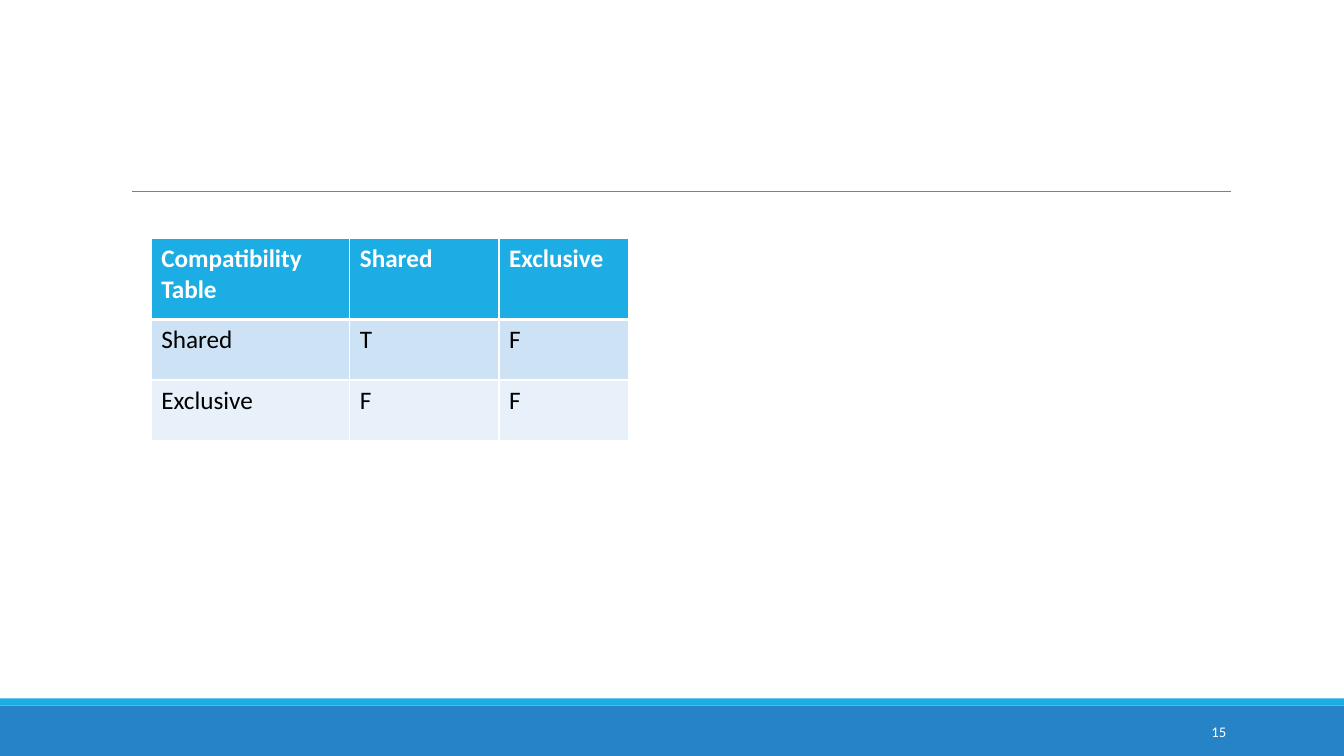
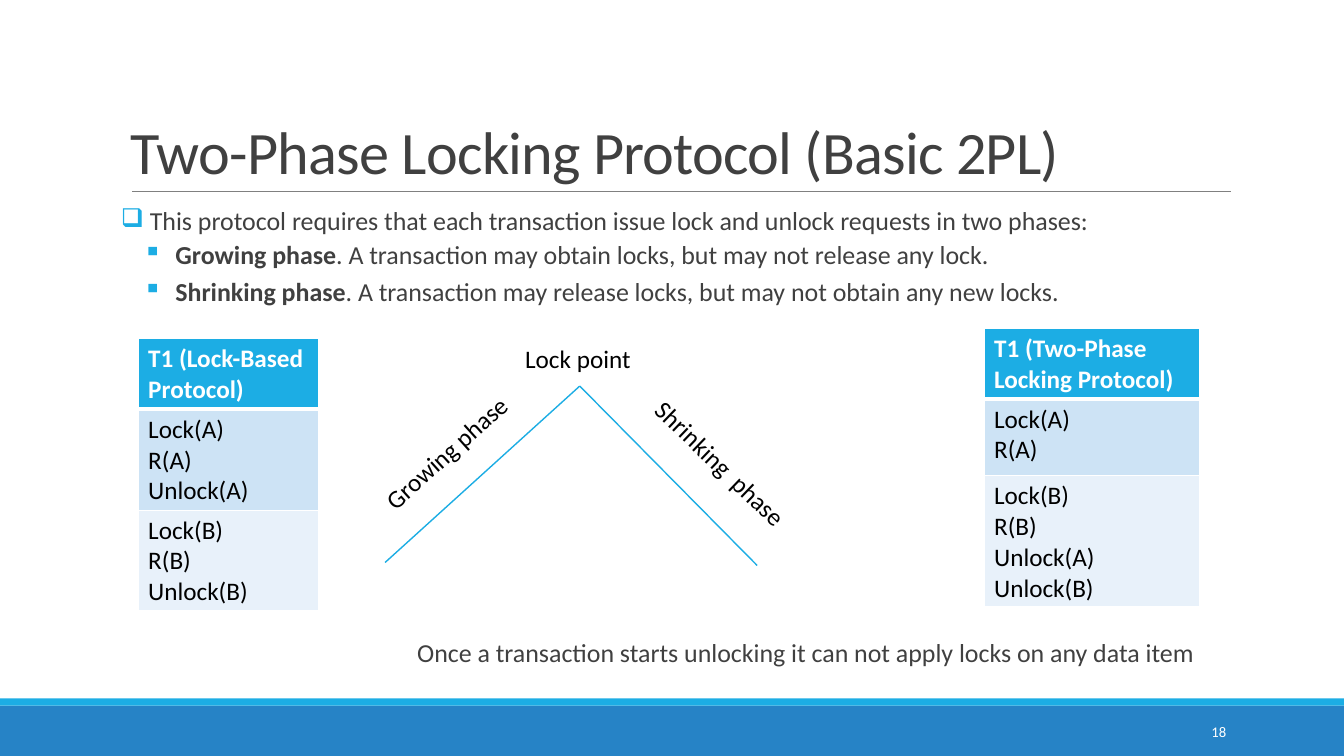
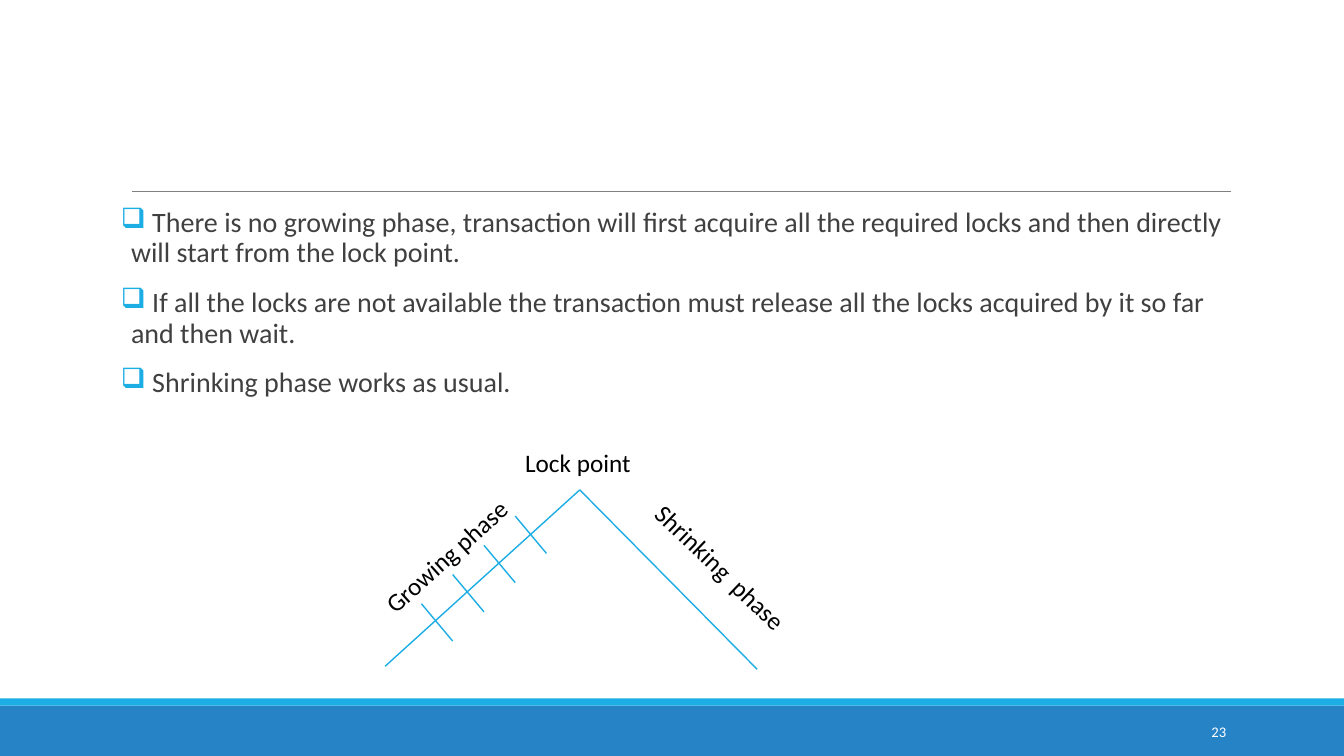
from lxml import etree
from pptx import Presentation
from pptx.dml.color import RGBColor
from pptx.enum.shapes import MSO_CONNECTOR, MSO_SHAPE
from pptx.enum.text import MSO_ANCHOR, PP_ALIGN
from pptx.oxml.ns import qn
from pptx.util import Inches, Pt

RECTANGLE = MSO_SHAPE.RECTANGLE
STRAIGHT = MSO_CONNECTOR.STRAIGHT
TOP, MIDDLE, BOTTOM = MSO_ANCHOR.TOP, MSO_ANCHOR.MIDDLE, MSO_ANCHOR.BOTTOM
LEFT, RIGHT = PP_ALIGN.LEFT, PP_ALIGN.RIGHT

FONT = "Calibri"
SKY, BLUE, GREY, INK = "1CADE4", "2683C6", "808080", "404040"
WHITE, BLACK = "FFFFFF", "000000"
ROW_FILLS = ("E8F1FA", "CDE3F5")
WIDTH, HEIGHT = 13.33, 7.5
BODY = (1.2, 2.02, 11)

BULLET_LEVELS = [
    dict(mark="❑", left=0.1, hang=0.1, before=12, after=2),
    dict(mark="▪", left=0.54, hang=0.32, before=2, after=4),
]

SLIDES = [
    dict(
        number="15",
        tables=[
            dict(at=(1.5, 2.37), cols=[1.97, 1.48, 1.28], rows=[0.8, 0.6, 0.6], cells=[
                ["Compatibility Table", "Shared", "Exclusive"],
                ["Shared", "T", "F"],
                ["Exclusive", "F", "F"],
            ]),
        ],
    ),
    dict(
        number="18",
        title="Two-Phase Locking Protocol (Basic 2PL)",
        body_size=18.5,
        bullets=[
            (0, [(" This protocol requires that each transaction issue lock and unlock "
                  "requests in two phases:", False)]),
            (1, [("Growing phase", True),
                 (". A transaction may obtain locks, but may not release any lock.", False)]),
            (1, [("Shrinking phase", True),
                 (". A transaction may release locks, but may not obtain any new locks.", False)]),
        ],
        conclusion="Once a transaction starts unlocking it can not apply locks on any data item",
        lock_point=(5.75, 3.83),
        tables=[
            dict(at=(1.37, 3.36), cols=[1.79], rows=[0.7, 1, 1], cells=[
                ["T1 (Lock-Based Protocol)"],
                ["Lock(A)\nR(A)\nUnlock(A)"],
                ["Lock(B)\nR(B)\nUnlock(B)"],
            ]),
            dict(at=(9.76, 3.26), cols=[2.14], rows=[0.7, 0.76, 1.3], cells=[
                ["T1 (Two-Phase Locking Protocol)"],
                ["Lock(A)\nR(A)"],
                ["Lock(B)\nR(B)\nUnlock(A)\nUnlock(B)"],
            ]),
        ],
    ),
    dict(
        number="23",
        body_size=20,
        bullets=[
            (0, [(" There is no growing phase, transaction will first acquire all the "
                  "required locks and then directly will start from the lock point.", False)]),
            (0, [(" If all the locks are not available the transaction must release all "
                  "the locks acquired by it so far and then wait.", False)]),
            (0, [(" Shrinking phase works as usual.", False)]),
        ],
        lock_point=(5.75, 4.86),
        ticks=4,
    ),
]

PHASE_ENDS = [(-1.93, 1.75), (1.76, 1.78)]
PHASE_LABELS = [
    ("Growing phase", -2.19, 0.44, 1.77, 318),
    ("Shrinking  phase", 0.45, 0.61, 1.98, 43.8),
    ("Lock point", -0.64, -0.47, 1.32, 0),
]
TICK_START, TICK_STEP, TICK_SIZE = (-0.64, 0.26), (-0.31, 0.29), (0.31, 0.37)


def rgb(value):
    return RGBColor.from_string(value)


def style_run(run, size, colour, bold=False):
    run.font.name = FONT
    run.font.size = Pt(size)
    run.font.color.rgb = rgb(colour)
    run.font.bold = bold


def style_text(frame, size, colour, bold=False):
    for paragraph in frame.paragraphs:
        for run in paragraph.runs:
            style_run(run, size, colour, bold)


def add_text(slide, text, left, top, width, height, size, colour,
             anchor=TOP, align=LEFT, spacing=1.0, rotation=0):
    box = slide.shapes.add_textbox(*map(Inches, (left, top, width, height)))
    box.rotation = rotation
    frame = box.text_frame
    frame.word_wrap = True
    frame.vertical_anchor = anchor
    frame.text = text
    frame.paragraphs[0].alignment = align
    frame.paragraphs[0].line_spacing = spacing
    style_text(frame, size, colour)
    return frame


def add_line(slide, start, end, colour=SKY, weight=1):
    line = slide.shapes.add_connector(STRAIGHT, *map(Inches, (*start, *end)))
    line.line.color.rgb = rgb(colour)
    line.line.width = Pt(weight)
    etree.SubElement(line._element.spPr, qn("a:effectLst"))


def add_frame(slide, number):
    for top, height, colour in ((7, 0.5, BLUE), (6.93, 0.07, SKY)):
        band = slide.shapes.add_shape(RECTANGLE, 0, Inches(top), Inches(WIDTH), Inches(height))
        band.shadow.inherit = False
        band.fill.solid()
        band.fill.fore_color.rgb = rgb(colour)
        band.line.fill.background()
    add_line(slide, (1.31, 1.9), (12.21, 1.9), GREY, 0.5)
    add_text(slide, number, 10.83, 7.06, 1.43, 0.4, 10.5, WHITE, MIDDLE, RIGHT)


def add_title(slide, title):
    frame = add_text(slide, title, 1.2, 0.31, 11, 1.59, 43, INK, BOTTOM, spacing=0.85)
    frame.paragraphs[0].runs[0].font._element.set("spc", "-50")


def set_bullet(paragraph, mark, left, hang):
    props = paragraph._p.get_or_add_pPr()
    props.set("marL", str(Inches(left)))
    props.set("indent", str(-Inches(hang)))
    colour = etree.SubElement(props, qn("a:buClr"))
    etree.SubElement(colour, qn("a:srgbClr"), val=SKY)
    etree.SubElement(props, qn("a:buChar"), char=mark)


def add_bullets(slide, bullets, size):
    height = 1.2 if size < 20 else 2.2
    box = slide.shapes.add_textbox(*map(Inches, (*BODY, height)))
    frame = box.text_frame
    frame.word_wrap = True
    frame.margin_left = frame.margin_right = 0
    for index, (level, parts) in enumerate(bullets):
        paragraph = frame.add_paragraph() if index else frame.paragraphs[0]
        look = BULLET_LEVELS[level]
        set_bullet(paragraph, look["mark"], look["left"], look["hang"])
        paragraph.level = level
        paragraph.line_spacing = 0.9
        paragraph.space_before = Pt(look["before"] if index else 0)
        paragraph.space_after = Pt(look["after"])
        for text, bold in parts:
            run = paragraph.add_run()
            run.text = text
            style_run(run, size, INK, bold)


def set_borders(cell, top, bottom):
    props = cell._tc.get_or_add_tcPr()
    for side, weight in (("L", 1), ("R", 1), ("T", top), ("B", bottom)):
        border = etree.SubElement(props, qn(f"a:ln{side}"), w=str(Pt(weight)))
        fill = etree.SubElement(border, qn("a:solidFill"))
        etree.SubElement(fill, qn("a:srgbClr"), val=WHITE)


def add_table(slide, at, cols, rows, cells):
    size = (sum(cols), sum(rows))
    table = slide.shapes.add_table(len(rows), len(cols), *map(Inches, (*at, *size))).table
    for column, width in zip(table.columns, cols):
        column.width = Inches(width)
    for r, (height, texts) in enumerate(zip(rows, cells)):
        table.rows[r].height = Inches(height)
        header = r == 0
        for c, text in enumerate(texts):
            cell = table.cell(r, c)
            set_borders(cell, 3 if r == 1 else 1, 3 if header else 1)
            cell.fill.solid()
            cell.fill.fore_color.rgb = rgb(SKY if header else ROW_FILLS[r % 2])
            cell.text_frame.text = text
            style_text(cell.text_frame, 18, WHITE if header else BLACK, header)


def add_phases(slide, lock_point, ticks):
    x, y = lock_point
    for dx, dy in PHASE_ENDS:
        add_line(slide, lock_point, (x + dx, y + dy))
    for label, dx, dy, width, rotation in PHASE_LABELS:
        add_text(slide, label, x + dx, y + dy, width, 0.4, 18, BLACK, rotation=rotation)
    for i in range(ticks):
        start = [p + s + i * d for p, s, d in zip(lock_point, TICK_START, TICK_STEP)]
        add_line(slide, start, [p + d for p, d in zip(start, TICK_SIZE)])


def main():
    deck = Presentation()
    deck.slide_width, deck.slide_height = Inches(WIDTH), Inches(HEIGHT)
    for content in SLIDES:
        slide = deck.slides.add_slide(deck.slide_layouts[6])
        add_frame(slide, content["number"])
        if "title" in content:
            add_title(slide, content["title"])
        if "bullets" in content:
            add_bullets(slide, content["bullets"], content["body_size"])
        if "conclusion" in content:
            add_text(slide, content["conclusion"], 4.04, 6.3, 8.1, 0.4, 18.5, INK, spacing=0.9)
        if "lock_point" in content:
            add_phases(slide, content["lock_point"], content.get("ticks", 0))
        for table in content.get("tables", []):
            add_table(slide, **table)
    deck.save("out.pptx")


if __name__ == "__main__":
    main()
